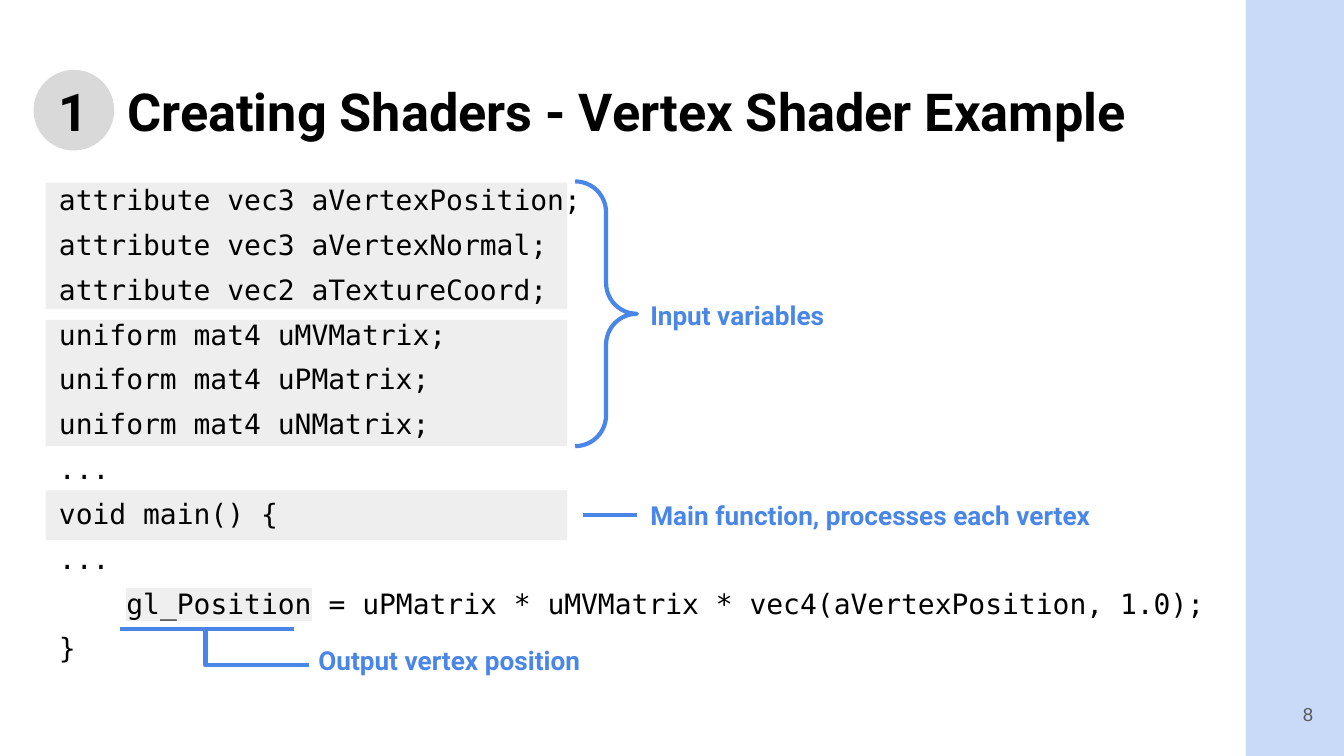
import pptx
import pptx.dml.color
import pptx.enum.shapes
import pptx.enum.text
import pptx.oxml.ns
import pptx.util
from lxml import etree

Inches = pptx.util.Inches
Pt = pptx.util.Pt
SHAPE = pptx.enum.shapes.MSO_SHAPE
ANCHOR = pptx.enum.text.MSO_ANCHOR
qn = pptx.oxml.ns.qn

COLORS = {
    "band": "C9DAF8", "code_band": "EEEEEE", "highlight": "EFEFEF",
    "badge": "D9D9D9", "ink": "000000", "accent": "4A86E8", "number": "595959",
}
FORMATS = {
    "title": {"size": Pt(28), "name": "Roboto", "bold": True},
    "code": {"size": Pt(15), "name": "DejaVu Sans Mono"},
    "note": {"size": Pt(14), "name": "Roboto", "bold": True},
    "number": {"size": Pt(10), "name": "Arial"},
}
CODE = [
    "attribute vec3 aVertexPosition;",
    "attribute vec3 aVertexNormal;",
    "attribute vec2 aTextureCoord;",
    "uniform mat4 uMVMatrix;",
    "uniform mat4 uPMatrix;",
    "uniform mat4 uNMatrix;",
    "...",
    "void main() {",
    "...",
    "    gl_Position = uPMatrix * uMVMatrix * vec4(aVertexPosition, 1.0);",
    "}",
]
OUTPUT_NAME = "gl_Position"


def rgb(color):
    return pptx.dml.color.RGBColor.from_string(COLORS[color])


def add_filled(slide, preset, box, color):
    shape = slide.shapes.add_shape(preset, *map(Inches, box))
    shape.shadow.inherit = False
    shape.fill.solid()
    shape.fill.fore_color.rgb = rgb(color)
    shape.line.fill.background()


def style_line(stroke):
    stroke.line.color.rgb = rgb("accent")
    stroke.line.width = Pt(2.25)


def add_line(slide, start, end):
    line = slide.shapes.add_connector(
        pptx.enum.shapes.MSO_CONNECTOR.STRAIGHT, *map(Inches, start + end))
    etree.SubElement(line._element.spPr, qn("a:effectLst"))
    style_line(line)


def add_frame(slide, box, anchor):
    frame = slide.shapes.add_textbox(*map(Inches, box)).text_frame
    frame.word_wrap = True
    frame.vertical_anchor = anchor
    for side in ("left", "top", "right", "bottom"):
        setattr(frame, f"margin_{side}", Inches(0.1))
    return frame


def add_run(paragraph, text, style, color):
    run = paragraph.add_run()
    run.text = text
    run.font.color.rgb = rgb(color)
    for attribute, value in FORMATS[style].items():
        setattr(run.font, attribute, value)
    return run


def highlight(run):
    mark = etree.Element(qn("a:highlight"))
    etree.SubElement(mark, qn("a:srgbClr"), val=COLORS["highlight"])
    run.font._element.find(qn("a:solidFill")).addnext(mark)


def add_note(slide, box, text):
    frame = add_frame(slide, box, ANCHOR.MIDDLE)
    add_run(frame.paragraphs[0], text, "note", "accent")


def add_side_band(slide, left, top, width, height):
    add_filled(slide, SHAPE.RECTANGLE, (left, top, width, height), "band")
    frame = add_frame(slide, (left, top + 5.12, 0.6, 0.43), ANCHOR.MIDDLE)
    frame.paragraphs[0].alignment = pptx.enum.text.PP_ALIGN.RIGHT
    add_run(frame.paragraphs[0], "8", "number", "number")


def add_title(slide, left, top, width, height):
    """Step number on a round badge, then the title at a tab stop."""
    add_filled(slide, SHAPE.OVAL, (left - 0.09, top + 0.03, 0.6, 0.6), "badge")
    frame = add_frame(slide, (left, top, width, height), ANCHOR.TOP)
    heading = frame.paragraphs[0]
    stops = etree.SubElement(heading._p.get_or_add_pPr(), qn("a:tabLst"))
    etree.SubElement(stops, qn("a:tab"), pos=str(Inches(0.51)), algn="l")
    add_run(heading, "1\tCreating Shaders - Vertex Shader Example", "title", "ink")


def add_code(slide, left, top, width, height):
    for offset, band_height in ((0.1, 0.94), (1.12, 0.94), (2.39, 0.37)):
        add_filled(slide, SHAPE.RECTANGLE,
                   (left, top + offset, 3.88, band_height), "code_band")
    frame = add_frame(slide, (left, top, width, height), ANCHOR.TOP)
    for index, code_line in enumerate(CODE):
        paragraph = frame.paragraphs[0] if index == 0 else frame.add_paragraph()
        paragraph.line_spacing = Pt(18)
        if index:
            paragraph.space_before = Pt(6)
        for part in code_line.partition(OUTPUT_NAME):
            if part:
                run = add_run(paragraph, part, "code", "ink")
                if part == OUTPUT_NAME:
                    highlight(run)


def add_input_note(slide, left, top, width, height):
    brace_width = 0.46
    brace = slide.shapes.add_shape(
        SHAPE.RIGHT_BRACE, *map(Inches, (left, top, brace_width, height)))
    brace.shadow.inherit = False
    brace.fill.background()
    brace.adjustments[0] = 0.5
    style_line(brace)
    add_note(slide, (left + brace_width, top + 0.01, width - brace_width, height),
             "Input variables")


def add_main_note(slide, left, top, width, height):
    middle = top + height / 2
    add_line(slide, (left, middle), (left + 0.4, middle))
    add_note(slide, (left + 0.4, top, width - 0.4, height),
             "Main function, processes each vertex")


def add_output_note(slide, left, top, width, height):
    """Underline of the output variable, with an elbow to its note."""
    add_line(slide, (left, top), (left + 1.3, top))
    bend, low = left + 0.64, top + 0.27
    builder = slide.shapes.build_freeform(Inches(bend), Inches(top))
    builder.add_line_segments(
        [(Inches(bend), Inches(low)), (Inches(left + 1.41), Inches(low))], close=False)
    elbow = builder.convert_to_shape()
    elbow.shadow.inherit = False
    elbow.fill.background()
    style_line(elbow)
    add_note(slide, (left + 1.38, top + 0.05, width - 1.38, height - 0.05),
             "Output vertex position")


def main():
    deck = pptx.Presentation()
    deck.slide_width = Inches(10)
    deck.slide_height = deck.slide_width * 9 // 16
    slide = deck.slides.add_slide(deck.slide_layouts[6])
    add_side_band(slide, 9.27, -0.02, 0.73, 5.65)
    add_title(slide, 0.34, 0.49, 9.32, 0.63)
    add_code(slide, 0.34, 1.26, 8.92, 3.84)
    add_input_note(slide, 4.28, 1.35, 4.22, 1.97)
    add_main_note(slide, 4.34, 3.65, 4.16, 0.37)
    add_output_note(slide, 0.89, 4.68, 5.65, 0.42)
    deck.save("out.pptx")


if __name__ == "__main__":
    main()
